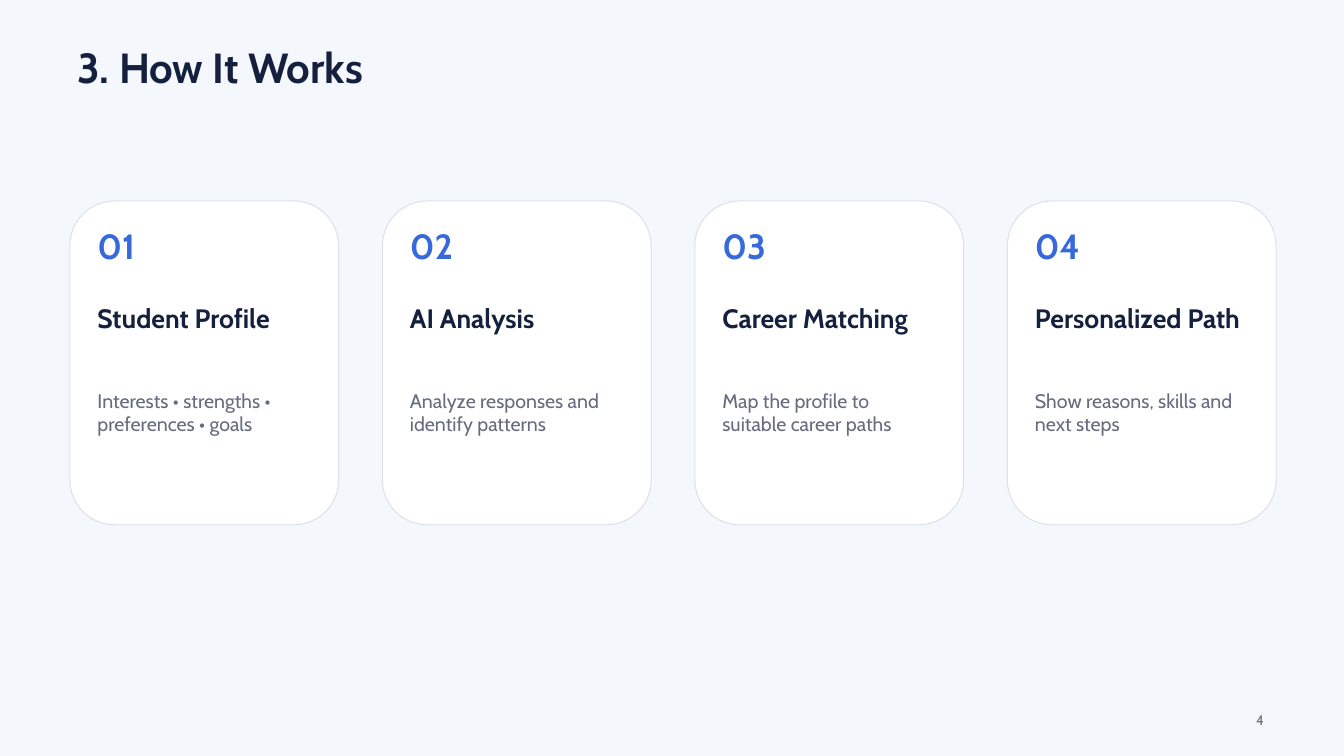
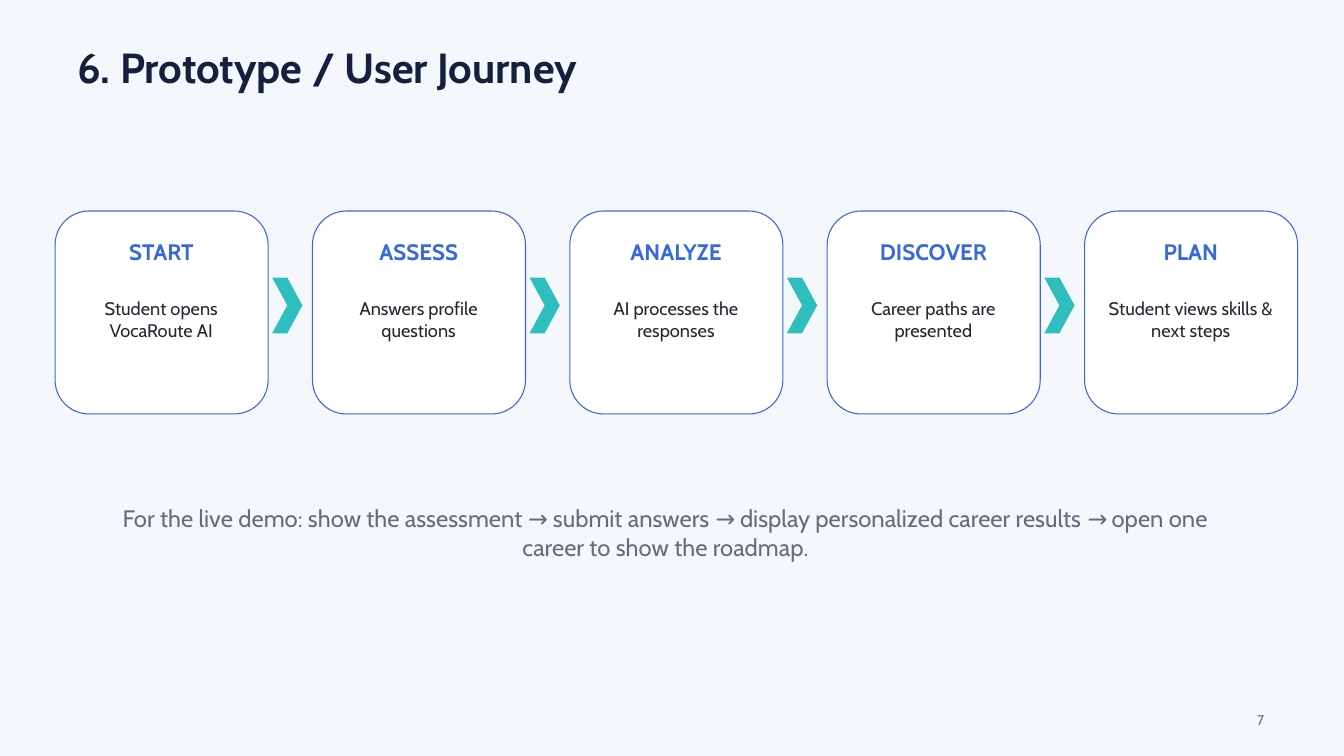
"""Builds the process and user journey slides of a career guidance deck."""
from dataclasses import dataclass

from pptx import Presentation
from pptx import util as u
from pptx.dml.color import RGBColor
from pptx.enum import shapes, text
from pptx.slide import Slide


@dataclass(frozen=True)
class Theme:
    font: str = "Cabin"
    background: str = "F4F7FC"
    card: str = "FFFFFF"
    card_edge: str = "DCE1EB"
    navy: str = "14203D"
    blue: str = "3769DC"
    teal: str = "2FBEBE"
    gray: str = "646C7D"
    ink: str = "232832"
    title_size: float = 45
    number_size: float = 37.5
    heading_size: float = 28.5
    note_size: float = 25.5
    stage_size: float = 24
    body_size: float = 21
    action_size: float = 19.5
    footer_size: float = 15
    line_spacing: float = 1.2
    edge_width: float = 1.13


@dataclass(frozen=True)
class Box:
    left: float
    top: float
    width: float
    height: float

    def shifted(self, distance: float) -> "Box":
        return Box(self.left + distance, self.top, self.width, self.height)

    def lengths(self) -> tuple[u.Length, ...]:
        return tuple(u.Inches(value) for value in (self.left, self.top, self.width, self.height))


@dataclass(frozen=True)
class Step:
    heading: str
    description: str


THEME = Theme()
STEP_PITCH = 4.65
STAGE_PITCH = 3.83
CENTER = text.PP_ALIGN.CENTER

PROCESS = (
    Step("Student Profile", "Interests • strengths • preferences • goals"),
    Step("AI Analysis", "Analyze responses and identify patterns"),
    Step("Career Matching", "Map the profile to suitable career paths"),
    Step("Personalized Path", "Show reasons, skills and next steps"),
)
JOURNEY = (
    Step("START", "Student opens VocaRoute AI"),
    Step("ASSESS", "Answers profile questions"),
    Step("ANALYZE", "AI processes the responses"),
    Step("DISCOVER", "Career paths are presented"),
    Step("PLAN", "Student views skills & next steps"),
)
DEMO_NOTE = (
    "For the live demo: show the assessment → submit answers → display personalized "
    "career results → open one career to show the roadmap."
)


def add_text(slide: Slide, content: str, box: Box, *, size: float, color: str,
             bold: bool = False, align: text.PP_ALIGN = text.PP_ALIGN.LEFT) -> None:
    frame = slide.shapes.add_textbox(*box.lengths()).text_frame
    frame.word_wrap = True
    frame.margin_left = frame.margin_right = frame.margin_top = frame.margin_bottom = 0
    paragraph = frame.paragraphs[0]
    paragraph.alignment = align
    paragraph.line_spacing = u.Pt(size * THEME.line_spacing)
    run = paragraph.add_run()
    run.text = content
    run.font.name = THEME.font
    run.font.size = u.Pt(size)
    run.font.bold = bold
    run.font.color.rgb = RGBColor.from_string(color)


def add_panel(slide: Slide, kind: shapes.MSO_SHAPE, box: Box, *, fill: str,
              edge: str | None = None) -> None:
    shape = slide.shapes.add_shape(kind, *box.lengths())
    shape.shadow.inherit = False
    shape.fill.solid()
    shape.fill.fore_color.rgb = RGBColor.from_string(fill)
    if edge is None:
        shape.line.fill.background()
    else:
        shape.line.color.rgb = RGBColor.from_string(edge)
        shape.line.width = u.Pt(THEME.edge_width)


def add_base_slide(presentation: Presentation, title: str, number: int) -> Slide:
    slide = presentation.slides.add_slide(presentation.slide_layouts[6])
    slide.background.fill.solid()
    slide.background.fill.fore_color.rgb = RGBColor.from_string(THEME.background)
    add_text(slide, title, Box(1.15, 0.62, 17.66, 1.13),
             size=THEME.title_size, color=THEME.navy, bold=True)
    add_text(slide, str(number), Box(17.96, 10.59, 0.85, 0.32),
             size=THEME.footer_size, color=THEME.gray, align=text.PP_ALIGN.RIGHT)
    return slide


def add_process_card(slide: Slide, index: int, step: Step) -> None:
    shift = index * STEP_PITCH
    add_panel(slide, shapes.MSO_SHAPE.ROUNDED_RECTANGLE, Box(1.04, 2.99, 4, 4.82).shifted(shift),
              fill=THEME.card, edge=THEME.card_edge)
    add_text(slide, f"{index + 1:02}", Box(1.45, 3.34, 3.18, 0.88).shifted(shift),
             size=THEME.number_size, color=THEME.blue, bold=True)
    add_text(slide, step.heading, Box(1.45, 4.49, 3.18, 1.16).shifted(shift),
             size=THEME.heading_size, color=THEME.navy, bold=True)
    add_text(slide, step.description, Box(1.45, 5.78, 3.18, 1.45).shifted(shift),
             size=THEME.body_size, color=THEME.gray)


def add_journey_stage(slide: Slide, index: int, step: Step) -> None:
    shift = index * STAGE_PITCH
    add_panel(slide, shapes.MSO_SHAPE.ROUNDED_RECTANGLE, Box(0.82, 3.14, 3.17, 3.02).shifted(shift),
              fill=THEME.card, edge=THEME.blue)
    add_text(slide, step.heading, Box(1.11, 3.54, 2.58, 0.62).shifted(shift),
             size=THEME.stage_size, color=THEME.blue, bold=True, align=CENTER)
    add_text(slide, step.description, Box(1.15, 4.43, 2.5, 1.23).shifted(shift),
             size=THEME.action_size, color=THEME.ink, align=CENTER)
    if index < len(JOURNEY) - 1:
        add_panel(slide, shapes.MSO_SHAPE.CHEVRON, Box(4.05, 4.13, 0.45, 0.83).shifted(shift),
                  fill=THEME.teal)


def main() -> None:
    presentation = Presentation()
    presentation.slide_width = u.Inches(20)
    presentation.slide_height = u.Inches(11.25)

    process_slide = add_base_slide(presentation, "3. How It Works", 4)
    for index, step in enumerate(PROCESS):
        add_process_card(process_slide, index, step)

    journey_slide = add_base_slide(presentation, "6. Prototype / User Journey", 7)
    for index, step in enumerate(JOURNEY):
        add_journey_stage(journey_slide, index, step)
    add_text(journey_slide, DEMO_NOTE, Box(1.6, 7.5, 16.61, 1.45),
             size=THEME.note_size, color=THEME.gray, align=CENTER)

    presentation.save("out.pptx")


if __name__ == "__main__":
    main()
